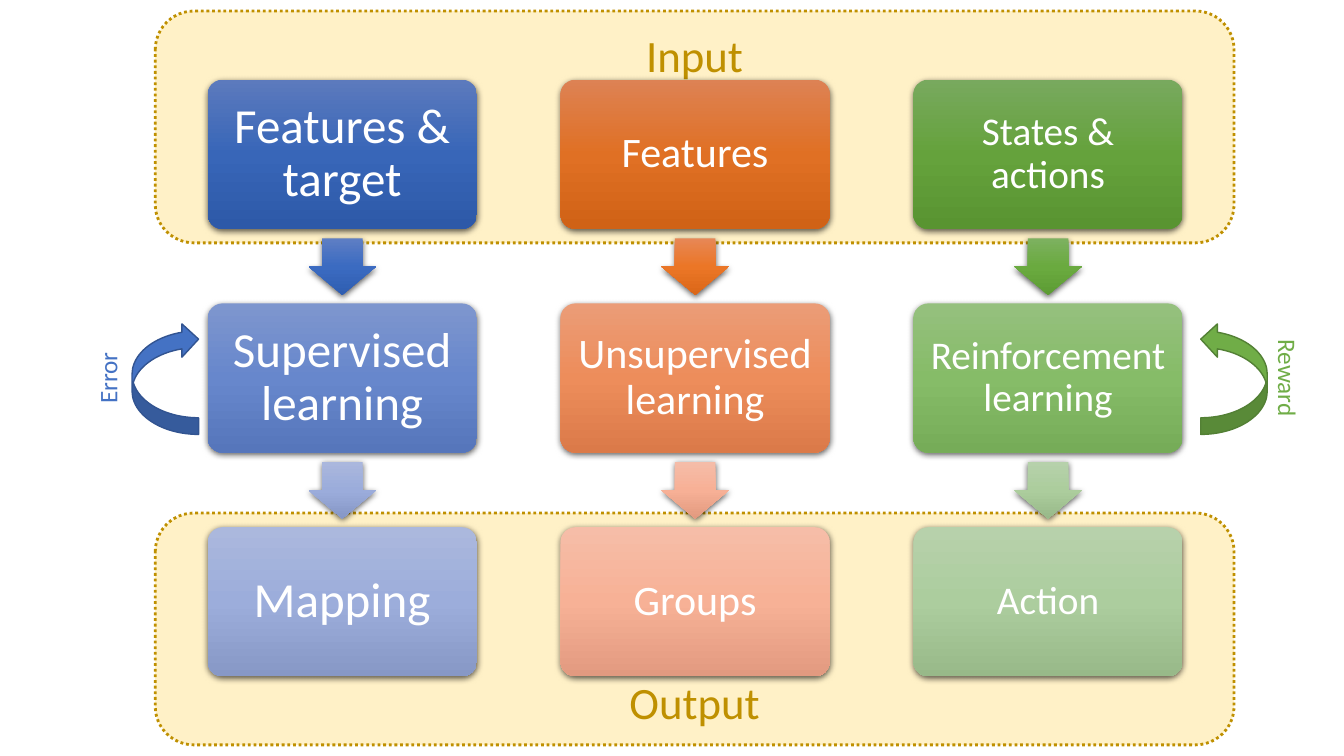
from lxml.etree import SubElement
from pptx import Presentation
from pptx.dml.color import RGBColor
from pptx.enum.dml import MSO_LINE
from pptx.enum.shapes import MSO_SHAPE as Preset
from pptx.enum.text import MSO_ANCHOR as Anchor, MSO_AUTO_SIZE as AutoSize, PP_ALIGN as Align
from pptx.oxml.ns import qn
from pptx.util import Inches, Pt

PANELS = [
    ("Output", 5.09, Anchor.BOTTOM),
    ("Input", 0.11, Anchor.TOP),
]
COLUMNS = [
    {"size": 35, "inset": 0.15,
     "boxes": [("Features & target", ("5C7ABD", "3866B8", "2D59A8")),
               ("Supervised learning", ("7E96CE", "6787CC", "5676BB")),
               ("Mapping", ("ABB8DD", "9CADDB", "8798C6"))],
     "arrows": [("5E7EC4", "3B6BC1", "2F5EB1"), ("AAB7DD", "9BACDB", "8697C6")]},
    {"size": 30, "inset": 0.12,
     "boxes": [("Features", ("DD8254", "E07024", "D06216")),
               ("Unsupervised learning", ("EB9C77", "ED8D5B", "DB7A49")),
               ("Groups", ("F6BDA8", "F7B196", "E29A80"))],
     "arrows": [("E78756", "EB7626", "DB6718"), ("F5BCA8", "F7B096", "E29A7F")]},
    {"size": 28, "inset": 0.12,
     "boxes": [("States & actions", ("78A95E", "65A23C", "599431")),
               ("Reinforcement learning", ("95C07E", "86BC68", "76AC58")),
               ("Action", ("B7D1AB", "ACCD9E", "98B989"))],
     "arrows": [("7DB160", "6AAA3F", "5D9C34"), ("B6D1AB", "ACCD9D", "98B989")]},
]
LOOPS = [
    {"label": "Error", "left": 1.31, "fill": "4472C4", "line": "325491",
     "flips": ["flipV"], "label_left": 0.62, "label_width": 0.89, "turn": 270},
    {"label": "Reward", "left": 11.91, "fill": "70AD47", "line": "538035",
     "flips": ["flipH", "flipV"], "label_left": 12.22, "label_width": 1.11, "turn": 90},
]
LEFT, TOP, COLUMN_STEP, ROW_STEP = 2.06, 0.79, 3.5, 2.22
BOX_WIDTH, BOX_HEIGHT = 2.67, 1.48
ARROW_LENGTH, ARROW_WIDTH, ARROW_DROP = 0.56, 0.67, 1.52


def color(value):
    return RGBColor.from_string(value)


def apply(target, values):
    for name, value in values.items():
        setattr(target, name, value)


def add_shape(preset, left, top, width, height, adjustments=()):
    shape = page.shapes.add_shape(preset, *map(Inches, (left, top, width, height)))
    shape.shadow.inherit = False
    for index, value in enumerate(adjustments):
        shape.adjustments[index] = value
    return shape


def paint(shape, fill, line, width):
    shape.fill.solid()
    shape.fill.fore_color.rgb = color(fill)
    shape.line.color.rgb = color(line)
    shape.line.width = Pt(width)


def add_node(parent, tag, **values):
    return SubElement(parent, qn(tag), {name: str(value) for name, value in values.items()})


def shade(shape, stops):
    shape.line.fill.background()
    shape.fill.gradient()
    shape.fill.gradient_angle = 270
    properties = shape.element.spPr
    gradient = properties.find(qn("a:gradFill"))
    gradient.set("rotWithShape", "0")
    stop_list = gradient.find(qn("a:gsLst"))
    for stop in list(stop_list):
        stop_list.remove(stop)
    for index, value in enumerate(stops):
        add_node(add_node(stop_list, "a:gs", pos=index * 50000), "a:srgbClr", val=value)
    shadow = add_node(properties.find(qn("a:effectLst")), "a:outerShdw", blurRad=Pt(4.5),
                      dist=Pt(1.5), dir=5400000, algn="ctr", rotWithShape=0)
    add_node(add_node(shadow, "a:srgbClr", val="000000"), "a:alpha", val=63000)


def write(shape, text, size, ink, spacing=None, **frame_values):
    frame = shape.text_frame
    apply(frame, {"word_wrap": True, **frame_values})
    para = frame.paragraphs[0]
    apply(para, {"alignment": Align.CENTER, "line_spacing": spacing})
    span = para.add_run()
    span.text = text
    apply(span.font, {"name": "Calibri", "size": Pt(size)})
    span.font.color.rgb = color(ink)


deck = Presentation()
apply(deck, {"slide_width": Inches(13.33), "slide_height": Inches(7.5)})
page = deck.slides.add_slide(deck.slide_layouts[6])

for title, top, anchor in PANELS:
    panel = add_shape(Preset.ROUNDED_RECTANGLE, 1.54, top, 10.7, 2.3)
    paint(panel, "FFC000", "BF9000", 2)
    panel.line.dash_style = MSO_LINE.ROUND_DOT
    fill_color = panel.element.spPr.find(qn("a:solidFill")).find(qn("a:srgbClr"))
    add_node(fill_color, "a:alpha", val=22000)
    write(panel, title, 32, "BF9000", vertical_anchor=anchor)

for column_index, column in enumerate(COLUMNS):
    left = LEFT + column_index * COLUMN_STEP
    margins = {f"margin_{side}": Inches(column["inset"])
               for side in ("left", "top", "right", "bottom")}
    for row, (text, stops) in enumerate(column["boxes"]):
        box = add_shape(Preset.ROUNDED_RECTANGLE, left, TOP + row * ROW_STEP,
                        BOX_WIDTH, BOX_HEIGHT, [0.1])
        shade(box, stops)
        write(box, text, column["size"], "FFFFFF", 0.9, vertical_anchor=Anchor.MIDDLE, **margins)
    for row, stops in enumerate(column["arrows"]):
        arrow = add_shape(Preset.RIGHT_ARROW, left + (BOX_WIDTH - ARROW_LENGTH) / 2,
                          TOP + ARROW_DROP + row * ROW_STEP,
                          ARROW_LENGTH, ARROW_WIDTH, [0.6, 0.5])
        arrow.rotation = 90
        shade(arrow, stops)

for loop in LOOPS:
    curve = add_shape(Preset.CURVED_RIGHT_ARROW, loop["left"], 3.2, 0.66, 1.11)
    paint(curve, loop["fill"], loop["line"], 1)
    for flip in loop["flips"]:
        curve.element.spPr.find(qn("a:xfrm")).set(flip, "1")
    label = page.shapes.add_textbox(Inches(loop["label_left"]), Inches(3.55),
                                    Inches(loop["label_width"]), Inches(0.4))
    label.rotation = loop["turn"]
    write(label, loop["label"], 18, loop["fill"], auto_size=AutoSize.SHAPE_TO_FIT_TEXT)

deck.save("out.pptx")
